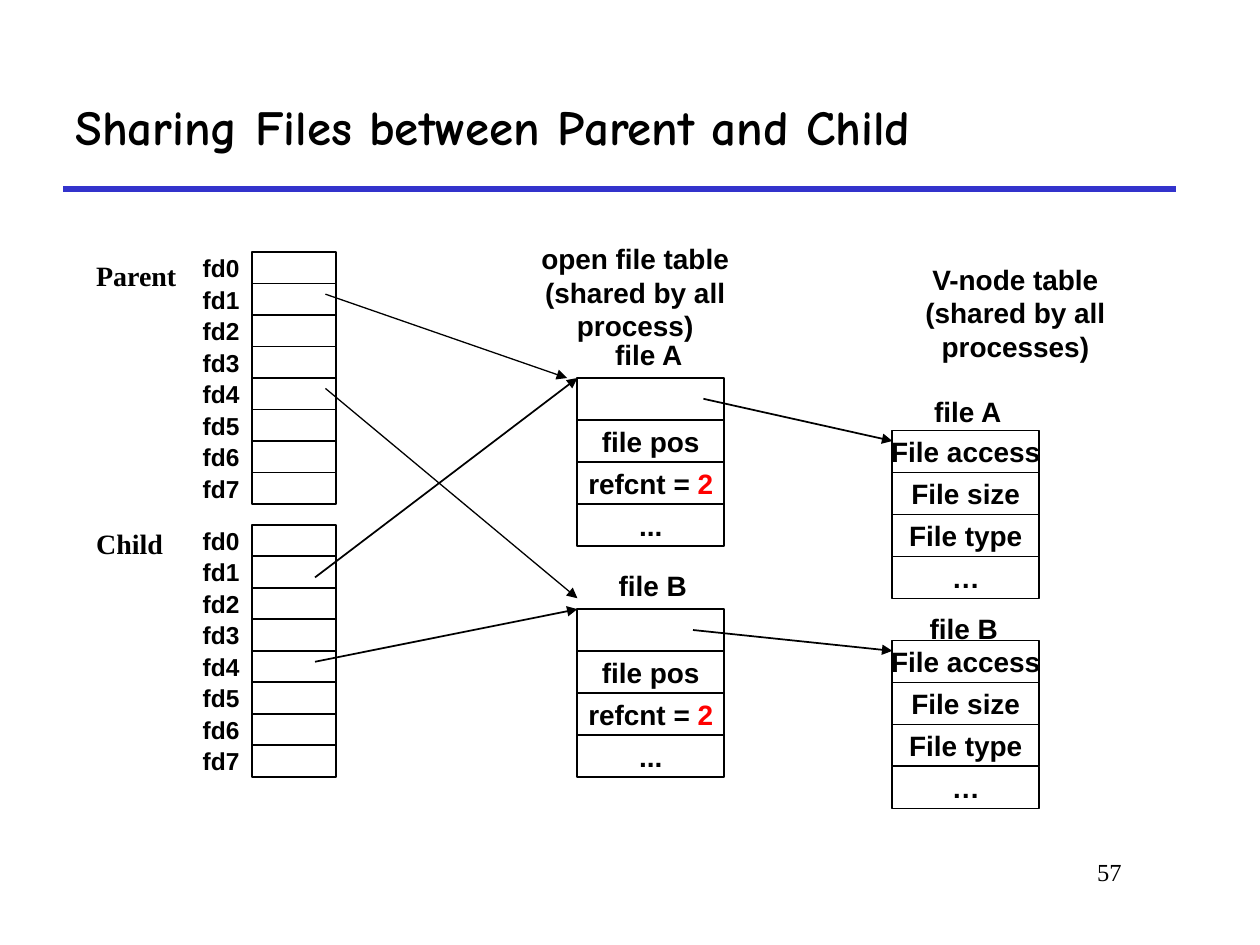
from lxml import etree
from pptx import Presentation
from pptx.dml.color import RGBColor
from pptx.enum.shapes import MSO_CONNECTOR as Conn, MSO_SHAPE as Shape
from pptx.enum.text import MSO_ANCHOR as Anchor, PP_ALIGN as Align
from pptx.oxml.ns import qn
from pptx.util import Cm, Pt

BLACK = RGBColor(0, 0, 0)
RED = RGBColor(255, 0, 0)
BLUE = RGBColor(0x33, 0x33, 0xCC)

# Content: text lines hold runs, marked red where a tuple is given
FDS = [f"fd{n}" for n in range(8)]
OPEN = ["", "file pos", ["refcnt = ", ("2", RED)], "..."]
VNODE = ["File access", "File size", "File type", "…"]

# Tables: left, top (cm) and rows
FD_TOPS = [5.08, 10.58]
TABLES = [(11.64, 7.62, OPEN), (11.64, 12.28, OPEN),
          (17.99, 8.68, VNODE), (17.99, 12.91, VNODE)]

# Headings over the tables: left, top, width, height, lines
HEADS = [(9.73, 4.74, 6.15, 2.29, ["open file table", "(shared by all process)"]),
         (18.08, 5.16, 4.78, 2.29, ["V-node table", "(shared by all processes)"])]
FILES = [(12.14, 6.68, "file A"), (12.22, 11.33, "file B"),
         (18.57, 7.82, "file A"), (18.49, 12.19, "file B")]
OWNERS = [(5.08, "Parent"), (10.49, "Child")]

# Arrows: start x, y, end x, y, line width (pt)
ARROWS = [(6.56, 5.93, 11.43, 7.62, 0.75), (6.56, 7.83, 11.64, 12.06, 0.75),
          (6.35, 11.64, 11.64, 7.62, 1), (6.35, 13.34, 11.64, 12.28, 1),
          (14.18, 8.04, 17.99, 8.89, 1), (13.97, 12.7, 17.99, 13.12, 1)]

# Formats
LABEL = {"name": "Arial", "size": Pt(16), "bold": True}
SMALL = {**LABEL, "size": Pt(14)}
OWNER = {**LABEL, "name": "Times New Roman"}
TITLE = {"name": "Comic Neue", "size": Pt(28), "bold": True}
PAGE = {"name": "Times New Roman", "size": Pt(14), "bold": False}

FD_W, FD_H = 1.69, 5.08 / 8
CELL_W, CELL_H = 2.96, 2.54 / 3

prs = Presentation()
prs.slide_width, prs.slide_height = Cm(25.4), Cm(19.05)
slide = prs.slides.add_slide(prs.slide_layouts[6])


def write(shape, lines, form, align=Align.CENTER, anchor=Anchor.MIDDLE, wrap=False):
    frame = shape.text_frame
    frame.word_wrap, frame.vertical_anchor = wrap, anchor
    for i, line in enumerate(lines):
        para = frame.add_paragraph() if i else frame.paragraphs[0]
        para.alignment = align
        for part in line if isinstance(line, list) else [line]:
            words, color = part if isinstance(part, tuple) else (part, BLACK)
            run = para.add_run()
            run.text = words
            run.font.color.rgb = color
            for key, value in form.items():
                setattr(run.font, key, value)


def label(home, box, lines, form, **place):
    write(home.add_textbox(*map(Cm, box)), lines, form, **place)


def cell(home, box, line=""):
    rect = home.add_shape(Shape.RECTANGLE, *map(Cm, box))
    rect.shadow.inherit = False
    rect.fill.background()
    rect.line.color.rgb, rect.line.width = BLACK, Pt(1)
    if line:
        write(rect, [line], LABEL)


def draw(x1, y1, x2, y2, width, color=BLACK, head=True):
    link = slide.shapes.add_connector(Conn.STRAIGHT, *map(Cm, (x1, y1, x2, y2)))
    link.line.color.rgb, link.line.width = color, Pt(width)
    if head:
        etree.SubElement(link.line._get_or_add_ln(), qn("a:tailEnd"), type="triangle")
    etree.SubElement(link._element.spPr, qn("a:effectLst"))


# Title, rule and page number
shapes = slide.shapes
draw(1.27, 3.81, 23.71, 3.81, 3, BLUE, head=False)
label(shapes, (1.27, 1.27, 22.44, 2.54), ["Sharing Files between Parent and Child"],
      TITLE, align=Align.LEFT, wrap=True)
label(shapes, (19.26, 17.15, 3.6, 1.27), ["57"], PAGE,
      align=Align.RIGHT, anchor=Anchor.TOP, wrap=True)

# Descriptor tables
for top in FD_TOPS:
    group = shapes.add_group_shape().shapes
    for i, fd in enumerate(FDS):
        y = top + i * FD_H
        cell(group, (5.08, y, FD_W, FD_H))
        label(group, (5.08 - FD_W, y, FD_W, FD_H), [fd], SMALL, align=Align.RIGHT)

# Open file and v-node tables
for left, top, rows in TABLES:
    for i, row in enumerate(rows):
        cell(shapes, (left, top + i * CELL_H, CELL_W, CELL_H), row)

# Headings and names
for *box, lines in HEADS:
    label(shapes, box, lines, LABEL, wrap=True)
for left, top, name in FILES:
    label(shapes, (left, top, 1.88, 0.94), [name], LABEL)
for top, name in OWNERS:
    label(shapes, (1.69, top, 4.45, 0.94), [name], OWNER,
          align=Align.LEFT, anchor=Anchor.TOP, wrap=True)

# Pointers
for arrow in ARROWS:
    draw(*arrow)

prs.save("out.pptx")
